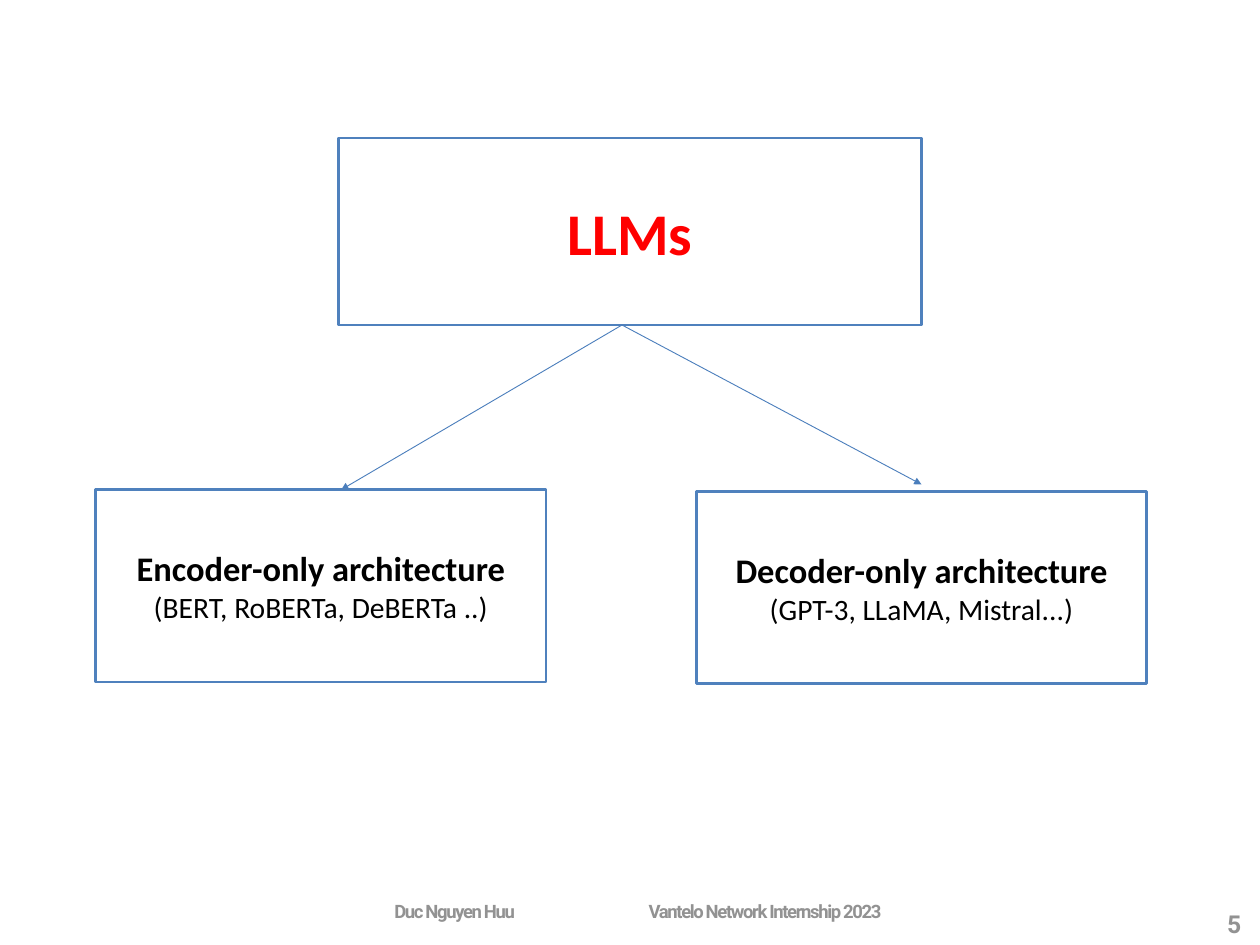
from dataclasses import dataclass

from lxml import etree
from pptx import Presentation
from pptx.dml.color import RGBColor
from pptx.enum.shapes import MSO_CONNECTOR, MSO_SHAPE
from pptx.enum.text import MSO_ANCHOR, MSO_AUTO_SIZE, PP_ALIGN
from pptx.oxml.ns import qn
from pptx.util import Pt

RECTANGLE = MSO_SHAPE.RECTANGLE
STRAIGHT = MSO_CONNECTOR.STRAIGHT
MIDDLE = MSO_ANCHOR.MIDDLE
CENTER = PP_ALIGN.CENTER
FIT_TEXT = MSO_AUTO_SIZE.SHAPE_TO_FIT_TEXT

EMU_PER_PX = 9144  # 100 px to the inch


@dataclass(frozen=True)
class Theme:
    diagram_font: str = "Calibri"
    footer_font: str = "Roboto"
    box_fill: RGBColor = RGBColor(0xFF, 0xFF, 0xFF)
    box_line: RGBColor = RGBColor(0x4F, 0x81, 0xBD)
    arrow: RGBColor = RGBColor(0x4B, 0x7E, 0xBC)
    root_text: RGBColor = RGBColor(0xFF, 0x00, 0x00)
    branch_text: RGBColor = RGBColor(0x00, 0x00, 0x00)
    footer_text: RGBColor = RGBColor(0x92, 0x92, 0x92)
    root_size: int = 48
    branch_size: int = 28
    models_size: int = 24
    number_size: int = 20
    footer_size: int = 15


THEME = Theme()


def px(*lengths):
    return [length * EMU_PER_PX for length in lengths]


def style_font(paragraph, name, size, color, bold=True):
    font = paragraph.font
    font.name = name
    font.size = Pt(size)
    font.bold = bold
    font.color.rgb = color


def add_box(slide, bounds, lines, color):
    """Add an outlined box; lines holds (text, size, bold) for each paragraph."""
    box = slide.shapes.add_shape(RECTANGLE, *px(*bounds))
    box.shadow.inherit = False
    box.fill.solid()
    box.fill.fore_color.rgb = THEME.box_fill
    box.line.color.rgb = THEME.box_line
    box.line.width = Pt(2)
    frame = box.text_frame
    frame.word_wrap = True
    frame.vertical_anchor = MIDDLE
    frame.text = "\n".join(text for text, _, _ in lines)
    for paragraph, (_, size, bold) in zip(frame.paragraphs, lines):
        paragraph.alignment = CENTER
        style_font(paragraph, THEME.diagram_font, size, color, bold)


def add_arrow(slide, start, end):
    arrow = slide.shapes.add_connector(STRAIGHT, *px(*start, *end))
    arrow.line.color.rgb = THEME.arrow
    arrow.line.width = Pt(0.75)
    outline = arrow.line._get_or_add_ln()
    etree.SubElement(outline, qn("a:tailEnd"), type="triangle")
    etree.SubElement(arrow._element.spPr, qn("a:effectLst"))


def add_footer(slide, bounds, text, size):
    """Add a grey footer text box and return its paragraph."""
    footer = slide.shapes.add_textbox(*px(*bounds))
    frame = footer.text_frame
    frame.margin_left = frame.margin_right = 0
    frame.margin_top = frame.margin_bottom = 0
    frame.word_wrap = True
    frame.auto_size = FIT_TEXT
    paragraph = frame.paragraphs[0]
    paragraph.text = text
    style_font(paragraph, THEME.footer_font, size, THEME.footer_text)
    return paragraph


def add_credit(slide, left, width, text):
    credit = add_footer(slide, (left, 1016, width, 25), text, THEME.footer_size)
    credit.space_before = Pt(1)
    credit.runs[0].font._element.set("spc", "-110")


def main():
    presentation = Presentation()
    presentation.slide_width, presentation.slide_height = px(1422, 1067)
    slide = presentation.slides.add_slide(presentation.slide_layouts[6])

    add_box(slide, (382, 156, 658, 211),
            [("LLMs", THEME.root_size, True)], THEME.root_text)
    for arrow_tip in ((385, 553), (1040, 547)):
        add_arrow(slide, (702, 367), arrow_tip)

    branches = (
        (108, 553, "Encoder-only architecture", "(BERT, RoBERTa, DeBERTa ..)"),
        (786, 555, "Decoder-only architecture", "(GPT-3, LLaMA, Mistral...)"),
    )
    for left, top, architecture, models in branches:
        add_box(slide, (left, top, 508, 217),
                [(architecture, THEME.branch_size, True),
                 (models, THEME.models_size, False)], THEME.branch_text)

    add_credit(slide, 445, 181, "Duc Nguyen Huu")
    add_credit(slide, 732, 311, "Vantelo Network Internship 2023")
    page_number = add_footer(slide, (1385, 1031, 35, 28), "5", THEME.number_size)
    page_number.line_spacing = Pt(20.4)

    presentation.save("out.pptx")


if __name__ == "__main__":
    main()
